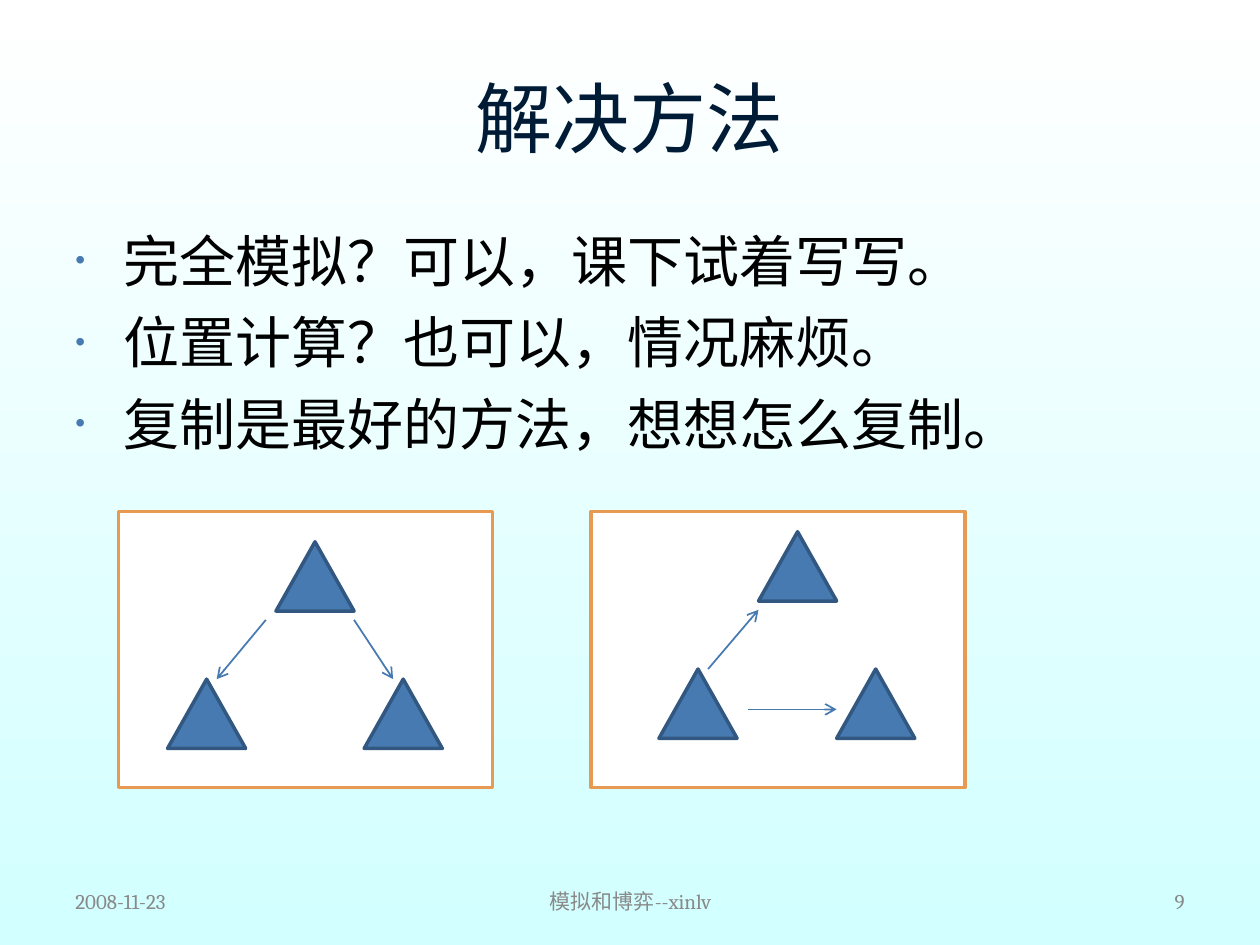
from lxml.etree import SubElement
from pptx import Presentation
from pptx.dml.color import RGBColor
from pptx.enum.shapes import MSO_CONNECTOR as Connector, MSO_SHAPE as Shape
from pptx.enum.text import MSO_ANCHOR as Anchor, PP_ALIGN as Align
from pptx.oxml.ns import qn
from pptx.util import Inches, Pt

WHITE = RGBColor(0xFF, 0xFF, 0xFF)
AQUA = RGBColor(0xD2, 0xFF, 0xFF)
NAVY = RGBColor(0x00, 0x1B, 0x36)
BLACK = RGBColor(0x00, 0x00, 0x00)
GRAY = RGBColor(0x89, 0x89, 0x89)
BLUE = RGBColor(0x47, 0x7A, 0xB1)
DARK_BLUE = RGBColor(0x32, 0x58, 0x81)
ORANGE = RGBColor(0xE8, 0x9A, 0x53)

TITLE = "解决方法"
POINTS = [
    "完全模拟？可以，课下试着写写。",
    "位置计算？也可以，情况麻烦。",
    "复制是最好的方法，想想怎么复制。",
]
FOOTERS = [  # text, left, width, alignment
    ("2008-11-23", 0.5, 2.33, Align.LEFT),
    ("模拟和博弈--xinlv", 3.42, 3.17, Align.CENTER),
    ("9", 7.17, 2.33, Align.RIGHT),
]

# Positions inside a panel are measured from its top left corner.
PANEL_TOP, PANEL_SIZE = 4.06, (2.97, 2.19)
TRIANGLE_SIZE = (0.62, 0.55)
PANELS = [
    {"left": 0.94,
     "triangles": [(1.25, 0.24), (0.39, 1.33), (1.95, 1.33)],
     "arrows": [((1.17, 0.86), (0.78, 1.33)), ((1.87, 0.86), (2.18, 1.33))]},
    {"left": 4.69,
     "triangles": [(1.33, 0.16), (0.54, 1.25), (1.95, 1.25)],
     "arrows": [((1.25, 1.57), (1.95, 1.57)), ((0.93, 1.25), (1.33, 0.78))]},
]

TITLE_FONT = {"name": "Lato", "size": Pt(44)}
BODY_FONT = {"name": "Cambria", "size": Pt(32)}
FOOTER_FONT = {"name": "Cambria", "size": Pt(12)}


def add_bullet(para):
    props = para._p.get_or_add_pPr()
    props.set("marL", str(Inches(0.38)))
    props.set("indent", str(-Inches(0.38)))
    color = SubElement(props, qn("a:buClr"))
    SubElement(color, qn("a:srgbClr"), val=str(BLUE))
    SubElement(props, qn("a:buSzPct"), val="50000")
    SubElement(props, qn("a:buFont"), typeface="Arial")
    SubElement(props, qn("a:buChar"), char="•")


def add_text(page, area, lines, font, color, align=Align.LEFT,
             anchor=Anchor.MIDDLE, bulleted=False):
    frame = page.shapes.add_textbox(*map(Inches, area)).text_frame
    frame.word_wrap = True
    frame.vertical_anchor = anchor
    for index, line in enumerate(lines):
        para = frame.add_paragraph() if index else frame.paragraphs[0]
        para.alignment = align
        if index:
            para.space_before = Pt(8)
        if bulleted:
            add_bullet(para)
        span = para.add_run()
        span.text = line
        for key, value in font.items():
            setattr(span.font, key, value)
        span.font.color.rgb = color


def add_figure(group, kind, corner, size, fill, line):
    shape = group.shapes.add_shape(kind, *map(Inches, (*corner, *size)))
    shape.shadow.inherit = False
    shape.fill.solid()
    shape.fill.fore_color.rgb = fill
    shape.line.color.rgb = line
    shape.line.width = Pt(2)


def add_arrow(group, start, end):
    arrow = group.shapes.add_connector(
        Connector.STRAIGHT, *map(Inches, (*start, *end)))
    arrow.line.color.rgb = BLUE
    arrow.line.width = Pt(1)
    SubElement(arrow.line._get_or_add_ln(), qn("a:tailEnd"), type="arrow")
    SubElement(arrow._element.spPr, qn("a:effectLst"))


def add_panel(page, panel):
    def place(point):
        return panel["left"] + point[0], PANEL_TOP + point[1]

    group = page.shapes.add_group_shape()
    add_figure(group, Shape.RECTANGLE, place((0, 0)), PANEL_SIZE, WHITE, ORANGE)
    for corner in panel["triangles"]:
        add_figure(group, Shape.ISOSCELES_TRIANGLE, place(corner),
                   TRIANGLE_SIZE, BLUE, DARK_BLUE)
    for start, end in panel["arrows"]:
        add_arrow(group, place(start), place(end))


def main():
    deck = Presentation()
    deck.slide_width, deck.slide_height = Inches(10), Inches(7.5)
    page = deck.slides.add_slide(deck.slide_layouts[6])

    backdrop = page.background.fill
    backdrop.gradient()
    backdrop.gradient_angle = 270
    for stop, position, color in zip(backdrop.gradient_stops, (0, 1), (WHITE, AQUA)):
        stop.position = position
        stop.color.rgb = color

    add_text(page, (0.5, 0.3, 9, 1.25), [TITLE], TITLE_FONT, NAVY, Align.CENTER)
    add_text(page, (0.5, 1.75, 9, 4.95), POINTS, BODY_FONT, BLACK,
             anchor=Anchor.TOP, bulleted=True)
    for text, left, width, align in FOOTERS:
        add_text(page, (left, 6.95, width, 0.4), [text], FOOTER_FONT, GRAY, align)
    for panel in PANELS:
        add_panel(page, panel)
    deck.save("out.pptx")


if __name__ == "__main__":
    main()
